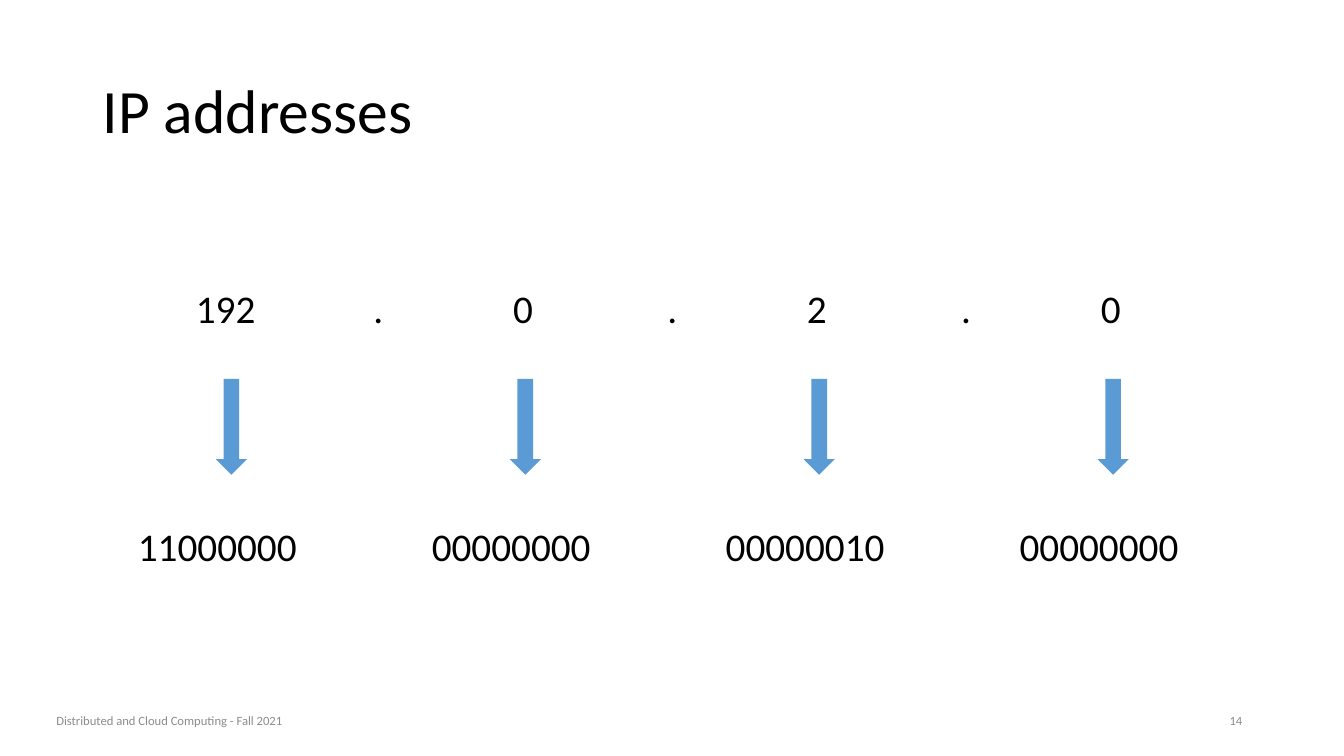
from pptx import Presentation
from pptx import util as u
from pptx.dml.color import RGBColor
from pptx.enum import shapes, text

HUES = {"ink": "000000", "arrow": "5B9BD5", "foot": "8C8C8C"}
AL = text.PP_ALIGN
MID = text.MSO_ANCHOR.MIDDLE
TOP = text.MSO_ANCHOR.TOP

deck = Presentation()
deck.slide_width = u.Inches(13.33)
deck.slide_height = u.Inches(7.5)
page = deck.slides.add_slide(deck.slide_layouts[6])


def write(words, left, top, wide, high, size, hue="ink", align=AL.LEFT, anchor=MID, wrap=True):
    box = page.shapes.add_textbox(*map(u.Inches, (left, top, wide, high)))
    frame = box.text_frame
    frame.word_wrap = wrap
    frame.vertical_anchor = anchor
    if anchor == TOP:
        frame.auto_size = text.MSO_AUTO_SIZE.SHAPE_TO_FIT_TEXT
    line = frame.paragraphs[0]
    line.alignment = align
    run = line.add_run()
    run.text = words
    run.font.name = "Calibri"
    run.font.size = u.Pt(size)
    run.font.color.rgb = RGBColor.from_string(HUES[hue])
    return line


title = write("IP addresses", 0.92, 0.4, 11.5, 1.45, 44)
title.line_spacing = 0.9

START, PITCH = 2.29, 2.915
ROWS = {"byte": 2.77, "arrow": 3.76, "bits": 5.13}
HIGH = 0.57
BYTES = [192, 0, 2, 0]

for col, byte in enumerate(BYTES):
    mid = START + col * PITCH
    wide = 0.89 if byte > 99 else 0.43
    write(str(byte), mid - wide / 2, ROWS["byte"], wide, HIGH, 28, anchor=TOP, wrap=False)

    arrow = page.shapes.add_shape(
        shapes.MSO_SHAPE.DOWN_ARROW,
        *map(u.Inches, (mid - 0.15, ROWS["arrow"], 0.31, 0.95)))
    arrow.shadow.inherit = False
    arrow.fill.solid()
    arrow.fill.fore_color.rgb = RGBColor.from_string(HUES["arrow"])
    arrow.line.fill.background()

    write(f"{byte:08b}", mid - 1.02, ROWS["bits"], 2.04, HIGH, 28, anchor=TOP, wrap=False)

    if col < len(BYTES) - 1:
        write(".", mid + PITCH / 2 - 0.44, ROWS["byte"], 0.89, HIGH, 28,
              align=AL.CENTER, anchor=TOP)

write("Distributed and Cloud Computing - Fall 2021", 0.46, 6.95, 4.09, 0.4, 9, "foot")
write("14", 9.42, 6.95, 3, 0.4, 9, "foot", AL.RIGHT)

deck.save("out.pptx")
